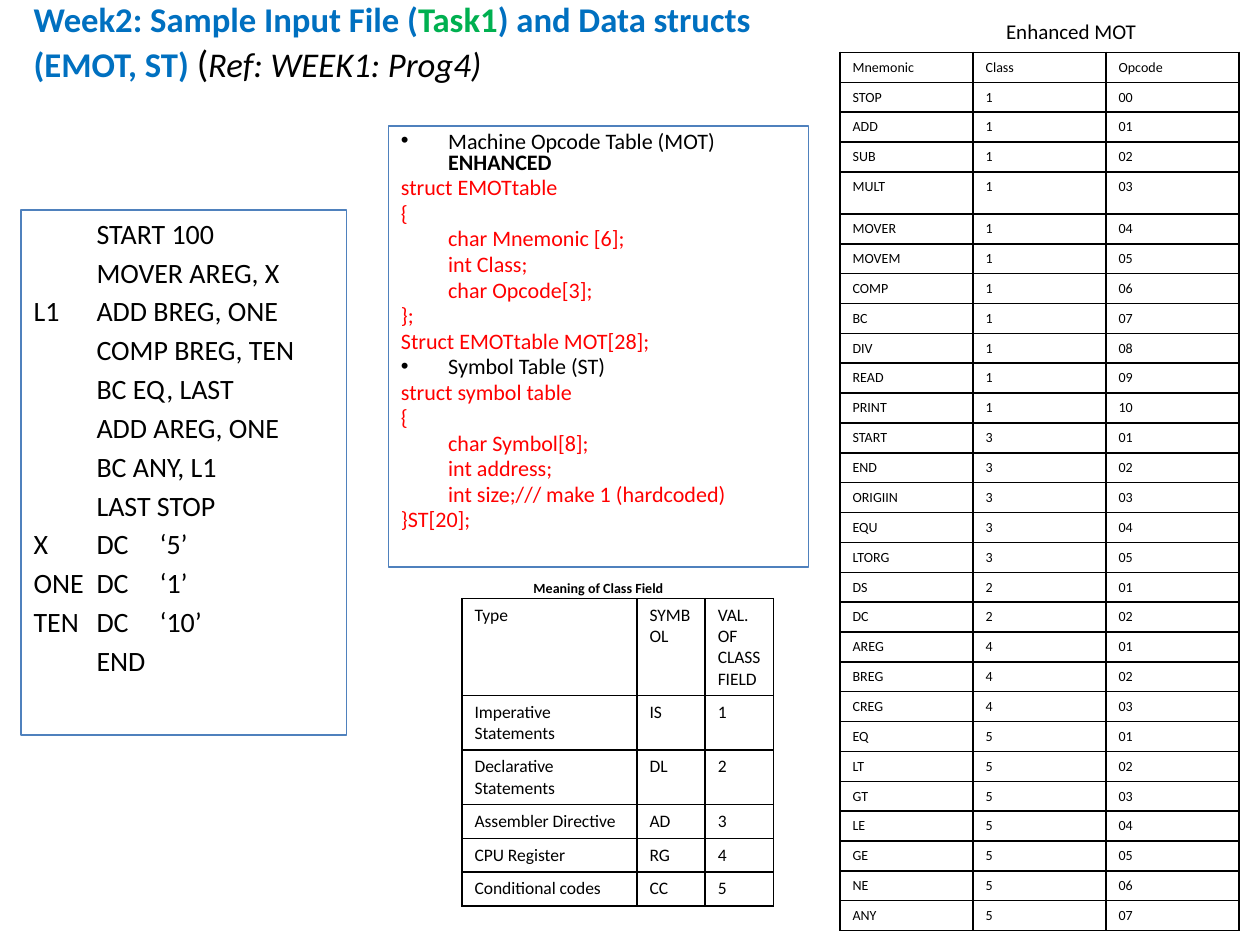
from lxml import etree
from pptx import Presentation
from pptx import util as u
from pptx.dml.color import RGBColor
from pptx.enum import shapes, text
from pptx.oxml.ns import qn

Pt = u.Pt


def add_run(p, words, size, color="000000", bold=False, italic=False):
    r = p.add_run()
    r.text = words
    f = r.font
    f.name, f.size, f.bold, f.italic = "Calibri", Pt(size), bold, italic
    f.color.rgb = RGBColor.from_string(color)


def add_grid(s, rows, left, top, widths, heights, size):
    frame = s.shapes.add_table(len(rows), len(widths), Pt(left), Pt(top),
                               Pt(sum(widths)), Pt(sum(heights)))
    tbl = frame.table
    for col, width in zip(tbl.columns, widths):
        col.width = Pt(width)
    for row, height, values in zip(tbl.rows, heights, rows):
        row.height = Pt(height)
        for cell, value in zip(row.cells, values):
            tcPr = cell._tc.get_or_add_tcPr()
            for side in ("lnL", "lnR", "lnT", "lnB"):
                ln = etree.SubElement(tcPr, qn("a:" + side), w=str(Pt(1)))
                fill = etree.SubElement(ln, qn("a:solidFill"))
                etree.SubElement(fill, qn("a:srgbClr"), val="000000")
            cell.fill.solid()
            cell.fill.fore_color.rgb = RGBColor.from_string("FFFFFF")
            add_run(cell.text_frame.paragraphs[0], value, size)


prs = Presentation()
prs.slide_width, prs.slide_height = Pt(720), Pt(540)
s = prs.slides.add_slide(prs.slide_layouts[1])

title = s.shapes.title
title.left, title.top, title.width, title.height = Pt(12), Pt(6), Pt(450), Pt(60)
tf = title.text_frame
tf.auto_size = text.MSO_AUTO_SIZE.NONE
tf.vertical_anchor = text.MSO_ANCHOR.MIDDLE
tf.margin_bottom = Pt(28)
p = tf.paragraphs[0]
p.alignment = text.PP_ALIGN.LEFT
add_run(p, "Week2: Sample Input File (", 19.8, "0070C0", True)
add_run(p, "Task1", 19.8, "00B050", True)
add_run(p, ") and Data structs (EMOT, ST) ", 19.8, "0070C0", True)
add_run(p, "(", 21.6)
add_run(p, "Ref: WEEK1: Prog4)", 19.8, italic=True)

program = [
    ("\tSTART 100", [45]),
    ("\tMOVER AREG, X", [45]),
    ("L1\tADD BREG, ONE", [40]),
    ("\tCOMP BREG, TEN", [41.5]),
    ("\tBC EQ, LAST", [45]),
    ("\tADD AREG, ONE", [45]),
    ("\tBC ANY, L1", [45]),
    ("\tLAST STOP", [45]),
    ("X\tDC\t‘5’", [45, 113]),
    ("ONE\tDC\t‘1’", [43, 76]),
    ("TEN\tDC\t‘10’", [44, 80]),
    ("\tEND", [45]),
]
body = s.placeholders[1]
body.left, body.top, body.width, body.height = Pt(12), Pt(120), Pt(186), Pt(300)
body.line.color.rgb = RGBColor.from_string("4F81BD")
body.line.width = Pt(0.75)
tf = body.text_frame
tf.auto_size = text.MSO_AUTO_SIZE.NONE
for i, (line, stops) in enumerate(program):
    p = tf.add_paragraph() if i else tf.paragraphs[0]
    p.space_before = Pt(3)
    pPr = p._p.get_or_add_pPr()
    pPr.set("marL", "0")
    pPr.set("indent", "0")
    etree.SubElement(pPr, qn("a:buNone"))
    tabs = etree.SubElement(pPr, qn("a:tabLst"))
    for stop in stops:
        etree.SubElement(tabs, qn("a:tab"), pos=str(Pt(stop)), algn="l")
    add_run(p, line, 16)

structs = [
    ("bullet", "Machine Opcode Table (MOT) "),
    ("code", "struct EMOTtable"),
    ("code", "{"),
    ("member", "char Mnemonic [6];"),
    ("member", "int Class;"),
    ("member", "char Opcode[3];"),
    ("code", "};"),
    ("code", "Struct EMOTtable MOT[28];"),
    ("bullet", "Symbol Table (ST)"),
    ("code", "struct symbol table"),
    ("code", "{"),
    ("member", "char Symbol[8];"),
    ("member", "int address;"),
    ("member", "int size;/// make 1 (hardcoded)"),
    ("code", "}ST[20];"),
]
indents = {"bullet": (27, -27), "code": (0, 0), "member": (27, 0)}
sp = s.shapes.add_shape(shapes.MSO_SHAPE.RECTANGLE, Pt(222), Pt(72), Pt(240), Pt(252))
sp.shadow.inherit = False
sp.fill.background()
sp.line.color.rgb = RGBColor.from_string("4F81BD")
sp.line.width = Pt(0.75)
tf = sp.text_frame
tf.word_wrap = True
tf.vertical_anchor = text.MSO_ANCHOR.TOP
for i, (kind, line) in enumerate(structs):
    p = tf.add_paragraph() if i else tf.paragraphs[0]
    p.alignment = text.PP_ALIGN.LEFT
    p.line_spacing = 0.8
    p.space_before = Pt(2.5)
    pPr = p._p.get_or_add_pPr()
    margin, indent = indents[kind]
    pPr.set("marL", str(Pt(margin)))
    pPr.set("indent", str(Pt(indent)))
    if kind == "bullet":
        etree.SubElement(pPr, qn("a:buFont"), typeface="Arial")
        etree.SubElement(pPr, qn("a:buChar"), char="•")
    add_run(p, line, 12.6, "000000" if kind == "bullet" else "FF0000")
add_run(tf.paragraphs[0], "ENHANCED", 12.6, bold=True)

for words, left, top, width, height, size, bold in [
    ("Meaning of Class Field", 279, 330, 126, 12, 8, True),
    ("Enhanced MOT", 528, 6, 168, 24, 12, False),
]:
    tf = s.shapes.add_textbox(Pt(left), Pt(top), Pt(width), Pt(height)).text_frame
    tf.word_wrap = True
    tf.vertical_anchor = text.MSO_ANCHOR.MIDDLE
    p = tf.paragraphs[0]
    p.alignment = text.PP_ALIGN.CENTER
    add_run(p, words, size, bold=bold)

class_rows = [
    ("Type", "SYMBOL", "VAL. OF CLASS FIELD"),
    ("Imperative Statements", "IS", "1"),
    ("Declarative Statements", "DL", "2"),
    ("Assembler Directive", "AD", "3"),
    ("CPU Register", "RG", "4"),
    ("Conditional codes", "CC", "5"),
]
add_grid(s, class_rows, 264, 342, [100, 39, 39], [36] + [19] * 5, 10)

opcode_groups = [
    ("1", 0, "STOP ADD SUB MULT MOVER MOVEM COMP BC DIV READ PRINT"),
    ("3", 1, "START END ORIGIIN EQU LTORG"),
    ("2", 1, "DS DC"),
    ("4", 1, "AREG BREG CREG"),
    ("5", 1, "EQ LT GT LE GE NE ANY"),
]
mot_rows = [("Mnemonic", "Class", "Opcode")]
for group, first, names in opcode_groups:
    for code, name in enumerate(names.split(), first):
        mot_rows.append((name, group, f"{code:02d}"))
mot_heights = [24 if row[0] == "MULT" else 17.08 for row in mot_rows]
add_grid(s, mot_rows, 480, 30, [76] * 3, mot_heights, 8)

prs.save("out.pptx")
